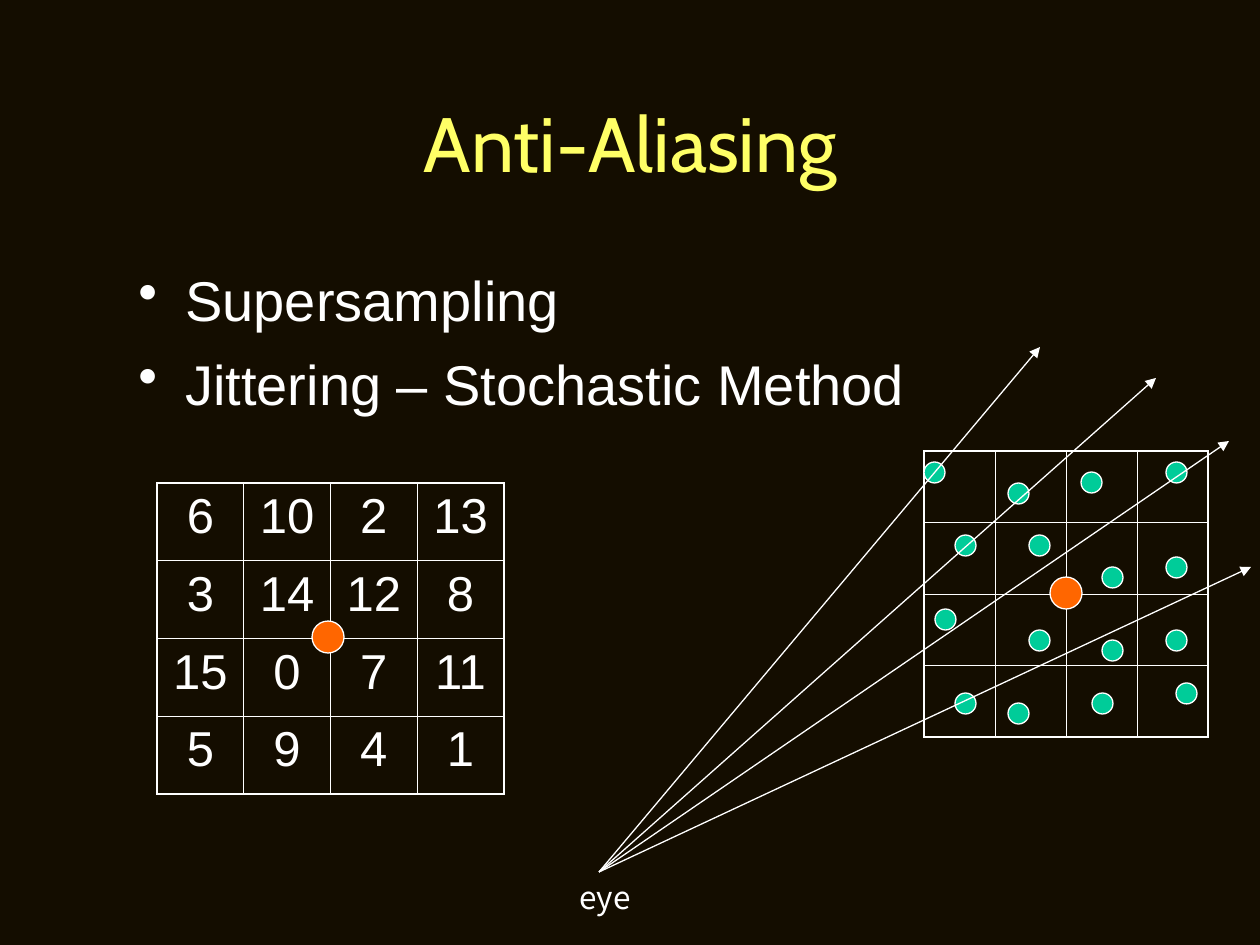
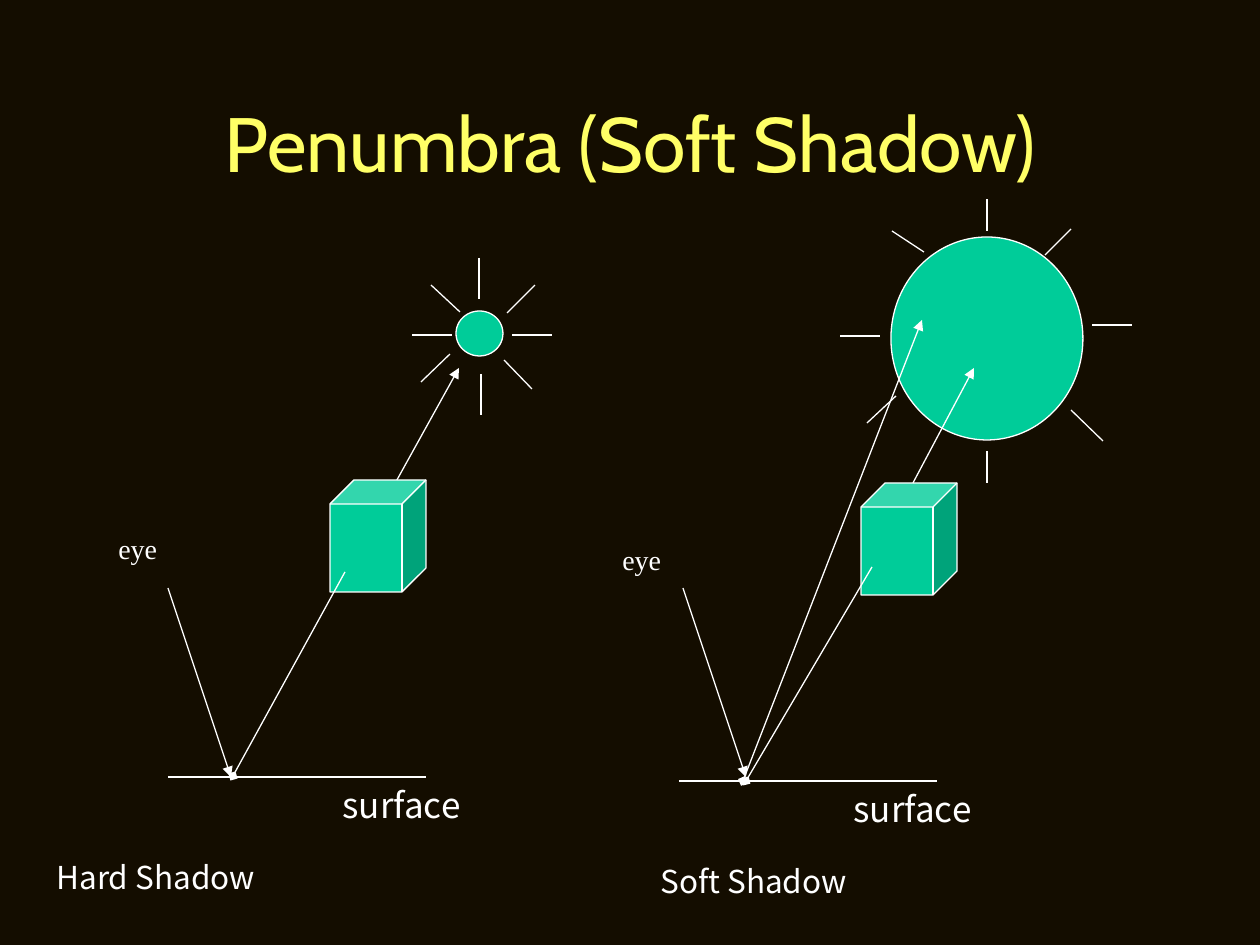
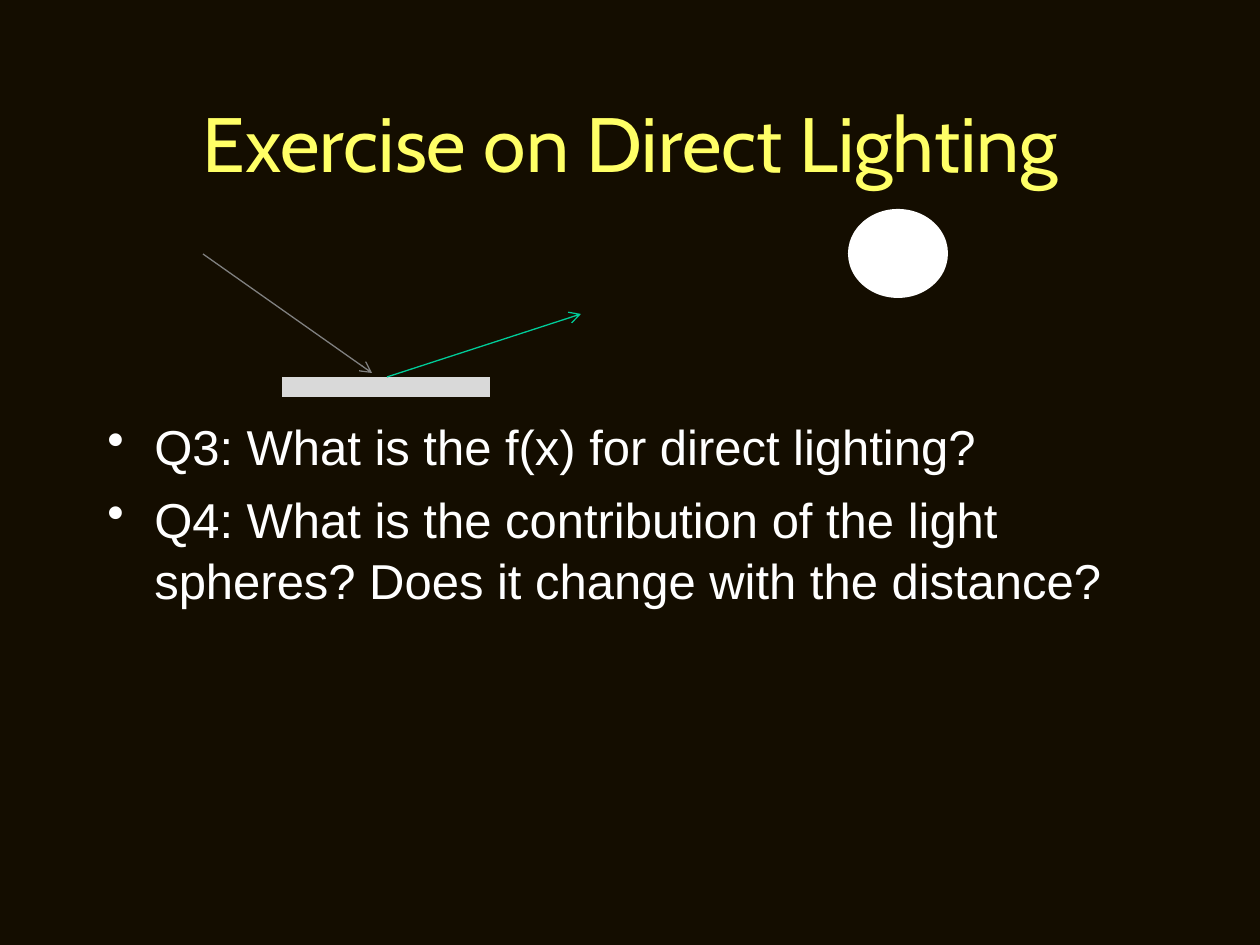
import lxml.etree
import pptx
import pptx.dml.color
import pptx.enum.shapes
import pptx.enum.text
import pptx.oxml.ns
import pptx.util

COLORS = {
    "background": "140D00",
    "title": "FFFF66",
    "white": "FFFFFF",
    "green": "00CC99",
    "orange": "FF6600",
    "gray": "808080",
    "surface": "D9D9D9",
}
FONTS = {"title": "Cabin", "body": "Arial", "label": "Noto Sans CJK KR", "serif": "Times New Roman"}
PX = 914400 / 126
SHAPES = pptx.enum.shapes.MSO_SHAPE
ALIGN = pptx.enum.text.PP_ALIGN

JITTER_ORDER = [[6, 10, 2, 13], [3, 14, 12, 8], [15, 0, 7, 11], [5, 9, 4, 1]]
SAMPLE_POINTS = [
    (31, 84), (11, 158), (105, 179), (105, 84), (84, 32), (157, 21), (178, 116), (178, 189),
    (168, 242), (252, 232), (242, 11), (242, 179), (31, 242), (84, 252), (242, 106), (0, 11),
]
RAY_ENDS = [(441, -525), (557, -494), (630, -431), (652, -305)]

HARD_SCENE = {
    "caption": ("Hard Shadow", 0),
    "cube": (286, 290),
    "eye": (62, 335),
    "eye_ray": (124, 398, 187, 587),
    "light": (412, 121, 47, 45),
    "beams": [
        (408, 145, 368, 145), (437, 184, 437, 225), (406, 164, 377, 192), (435, 68, 435, 109),
        (508, 145, 468, 145), (491, 95, 463, 123), (387, 95, 416, 122), (488, 199, 460, 170),
    ],
    "rays_behind": [((302, 382, 415, 178), None, "triangle")],
    "rays_front": [((189, 586, 301, 382), "diamond", None)],
}
SOFT_SCENE = {
    "caption": ("Soft Shadow", 93),
    "cube": (306, 289),
    "eye": (55, 342),
    "eye_ray": (128, 394, 191, 583),
    "light": (336, 43, 192, 203),
    "beams": [
        (325, 142, 285, 142), (577, 131, 537, 131), (341, 202, 312, 229), (516, 35, 490, 61),
        (432, 37, 432, 5), (432, 257, 432, 289), (516, 216, 548, 247), (369, 58, 337, 37),
    ],
    "rays_behind": [],
    "rays_front": [
        ((188, 587, 367, 126), "diamond", "triangle"),
        ((191, 587, 317, 373), "diamond", None),
        ((358, 289, 419, 174), None, "triangle"),
    ],
}


def emu(*lengths):
    return [pptx.util.Emu(round(length * PX)) for length in lengths]


def rgb(name):
    return pptx.dml.color.RGBColor.from_string(COLORS[name])


def add_element(parent, tag, **attributes):
    element = lxml.etree.SubElement(parent, pptx.oxml.ns.qn(tag))
    for name, value in attributes.items():
        element.set(name, value)
    return element


def format_runs(paragraph, font, size, color="white"):
    for run in paragraph.runs:
        run.font.name = FONTS[font]
        run.font.size = pptx.util.Pt(size)
        run.font.color.rgb = rgb(color)


def add_titled_slide(presentation, title):
    slide = presentation.slides.add_slide(presentation.slide_layouts[5])
    shape = slide.shapes.title
    shape.left, shape.top, shape.width, shape.height = emu(95, 84, 1071, 116)
    text_frame = shape.text_frame
    text_frame.text = title
    text_frame.vertical_anchor = pptx.enum.text.MSO_ANCHOR.MIDDLE
    text_frame.paragraphs[0].alignment = ALIGN.CENTER
    format_runs(text_frame.paragraphs[0], "title", 44, "title")
    return slide


def add_bullets(slide, left, top, width, height, items, size):
    text_frame = slide.shapes.add_textbox(*emu(left, top, width, height)).text_frame
    text_frame.word_wrap = True
    text_frame.margin_top = emu(11)[0]
    text_frame.text = "\n".join(items)
    for index, paragraph in enumerate(text_frame.paragraphs):
        paragraph.line_spacing = 1.04
        if index:
            paragraph.space_before = pptx.util.Pt(size / 4)
        properties = paragraph._p.get_or_add_pPr()
        indent = emu(47)[0]
        properties.set("marL", str(indent))
        properties.set("indent", str(-indent))
        bullet_color = add_element(properties, "a:buClr")
        add_element(bullet_color, "a:srgbClr", val=COLORS["white"])
        add_element(properties, "a:buChar", char="•")
        format_runs(paragraph, "body", size)


def add_label(slide, left, top, width, height, text, size, font="label", wrap=True):
    text_frame = slide.shapes.add_textbox(*emu(left, top, width, height)).text_frame
    text_frame.word_wrap = wrap
    text_frame.auto_size = pptx.enum.text.MSO_AUTO_SIZE.SHAPE_TO_FIT_TEXT
    text_frame.text = text
    format_runs(text_frame.paragraphs[0], font, size)


def add_figure(slide, kind, left, top, width, height, fill, line="white"):
    shape = slide.shapes.add_shape(kind, *emu(left, top, width, height))
    shape.shadow.inherit = False
    shape.fill.solid()
    shape.fill.fore_color.rgb = rgb(fill)
    if line:
        shape.line.color.rgb = rgb(line)
        shape.line.width = pptx.util.Pt(0.75)
    else:
        shape.line.fill.background()


def add_line(slide, left, top, points, color="white", head=None, tail=None):
    x1, y1, x2, y2 = points
    connector = slide.shapes.add_connector(
        pptx.enum.shapes.MSO_CONNECTOR.STRAIGHT, *emu(left + x1, top + y1, left + x2, top + y2)
    )
    connector.line.color.rgb = rgb(color)
    connector.line.width = pptx.util.Pt(0.75)
    line = connector.line._get_or_add_ln()
    for tag, kind in (("a:headEnd", head), ("a:tailEnd", tail)):
        if kind:
            add_element(line, tag, type=kind)
    add_element(connector._element.spPr, "a:effectLst")


def set_borders(cell, outer_sides):
    properties = cell._tc.get_or_add_tcPr()
    for side, outer in zip("LRTB", outer_sides):
        width = pptx.util.Pt(1.08 if outer else 0.45)
        border = add_element(properties, "a:ln" + side, w=str(width))
        fill = add_element(border, "a:solidFill")
        add_element(fill, "a:srgbClr", val=COLORS["white"])


def add_pixel_grid(slide, left, top, width, height, values=None):
    count = 4
    table = slide.shapes.add_table(count, count, *emu(left, top, width, height)).table
    table.first_row = False
    table.horz_banding = False
    last = count - 1
    for row in range(count):
        for column in range(count):
            cell = table.cell(row, column)
            set_borders(cell, (column == 0, column == last, row == 0, row == last))
            cell.fill.background()
            if values:
                cell.text_frame.text = str(values[row][column])
                paragraph = cell.text_frame.paragraphs[0]
                paragraph.alignment = ALIGN.CENTER
                format_runs(paragraph, "body", 28)


def add_jitter_table(slide, left, top):
    add_pixel_grid(slide, left, top, 347, 311, JITTER_ORDER)
    add_figure(slide, SHAPES.OVAL, left + 155, top + 138, 32, 32, "orange")


def add_sample_grid(slide, left, top):
    add_pixel_grid(slide, left, top, 284, 286)
    for x, y in SAMPLE_POINTS:
        add_figure(slide, SHAPES.OVAL, left + x, top + y, 21, 21, "green")
    add_figure(slide, SHAPES.OVAL, left + 126, top + 126, 32, 32, "orange")


def add_eye_rays(slide, left, top):
    for x, y in RAY_ENDS:
        add_line(slide, left, top, (0, 0, x, y), tail="triangle")
    add_label(slide, left - 32, top, 95, 50, "eye", 18)


def add_shadow_scene(slide, left, top, scene):
    for points, head, tail in scene["rays_behind"]:
        add_line(slide, left, top, points, head=head, tail=tail)
    add_line(slide, left, top, (124, 587, 382, 587))
    add_label(slide, left + 286, top + 587, 171, 55, "surface", 20)
    cube_x, cube_y = scene["cube"]
    add_figure(slide, SHAPES.CUBE, left + cube_x, top + cube_y, 96, 112, "green")
    light_x, light_y, light_width, light_height = scene["light"]
    add_figure(slide, SHAPES.OVAL, left + light_x, top + light_y, light_width, light_height, "green")
    for beam in scene["beams"]:
        add_line(slide, left, top, beam)
    for points, head, tail in scene["rays_front"]:
        add_line(slide, left, top, points, head=head, tail=tail)
    add_line(slide, left, top, scene["eye_ray"], tail="triangle")
    eye_x, eye_y = scene["eye"]
    add_label(slide, left + eye_x, top + eye_y, 64, 47, "eye", 16, "serif", False)
    caption, caption_x = scene["caption"]
    add_label(slide, left + caption_x, top + 662, 244, 50, caption, 18)


def add_lighting_diagram(slide, left, top):
    add_figure(slide, SHAPES.RECTANGLE, left + 79, top + 168, 208, 20, "surface", None)
    add_line(slide, left, top, (0, 45, 169, 164), "gray", tail="arrow")
    add_line(slide, left, top, (184, 168, 378, 105), "green", tail="arrow")
    add_figure(slide, SHAPES.OVAL, left + 645, top, 100, 89, "white", None)


def build_anti_aliasing(presentation):
    slide = add_titled_slide(presentation, "Anti-Aliasing")
    add_bullets(slide, 126, 252, 1056, 567, ["Supersampling", "Jittering – Stochastic Method"], 32)
    add_jitter_table(slide, 157, 483)
    add_sample_grid(slide, 924, 451)
    add_eye_rays(slide, 599, 872)


def build_penumbra(presentation):
    slide = add_titled_slide(presentation, "Penumbra (Soft Shadow)")
    add_shadow_scene(slide, 44, 190, HARD_SCENE)
    add_shadow_scene(slide, 555, 194, SOFT_SCENE)


def build_exercise(presentation):
    slide = add_titled_slide(presentation, "Exercise on Direct Lighting")
    questions = [
        "Q3: What is the f(x) for direct lighting?",
        "Q4: What is the contribution of the light spheres? Does it change with the distance?",
    ]
    add_bullets(slide, 95, 403, 1071, 486, questions, 28)
    add_lighting_diagram(slide, 203, 209)


def main():
    presentation = pptx.Presentation()
    presentation.slide_width, presentation.slide_height = emu(1260, 945)
    background = presentation.slide_master.background.fill
    background.solid()
    background.fore_color.rgb = rgb("background")
    build_anti_aliasing(presentation)
    build_penumbra(presentation)
    build_exercise(presentation)
    presentation.save("out.pptx")


if __name__ == "__main__":
    main()
